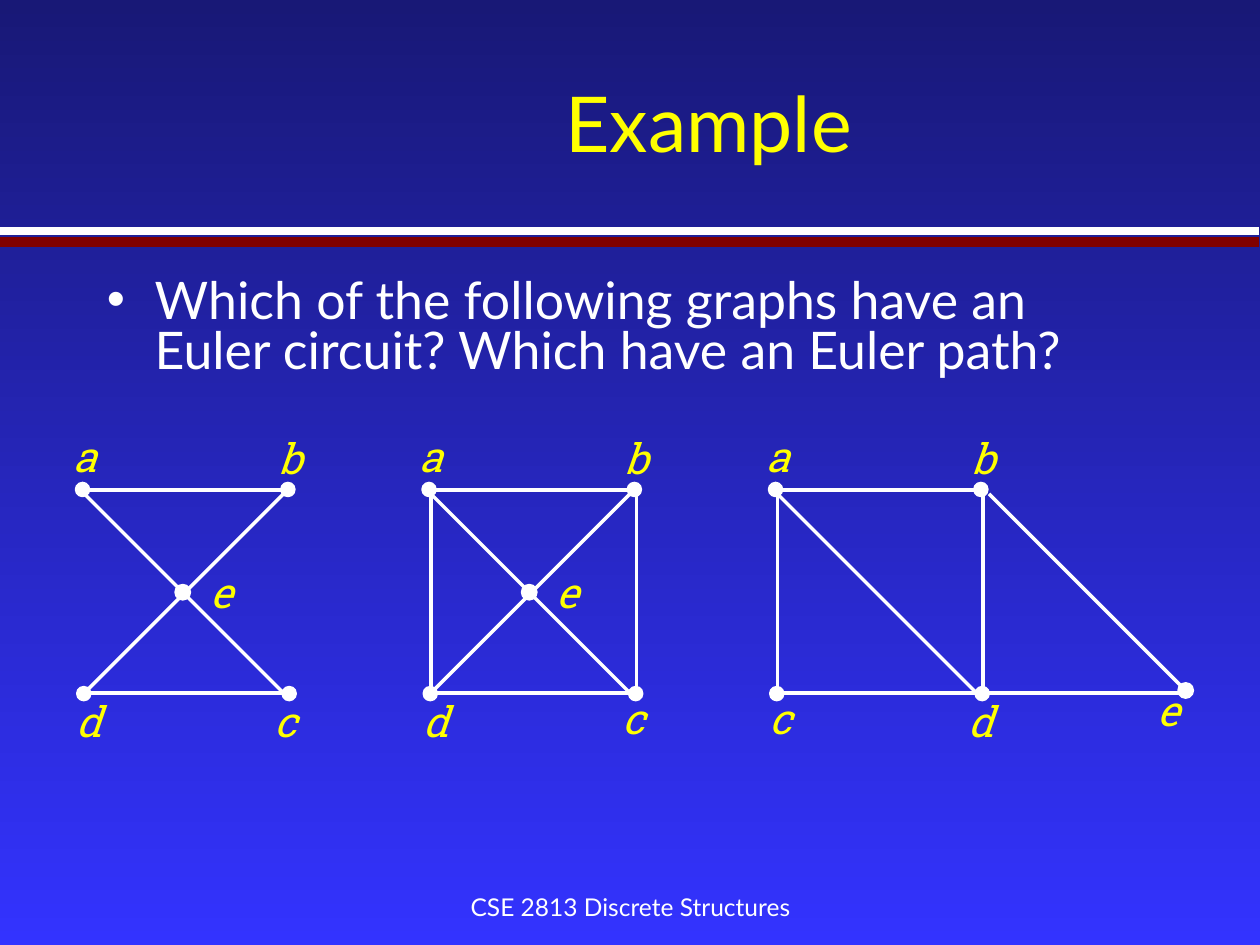
from lxml import etree
from pptx import Presentation
from pptx.dml.color import RGBColor
from pptx.enum.shapes import MSO_CONNECTOR, MSO_SHAPE
from pptx.enum.text import MSO_ANCHOR, MSO_AUTO_SIZE, PP_ALIGN
from pptx.oxml.ns import qn
from pptx.util import Inches, Pt

STRAIGHT = MSO_CONNECTOR.STRAIGHT
ELLIPSE = MSO_SHAPE.OVAL
TOP, MIDDLE = MSO_ANCHOR.TOP, MSO_ANCHOR.MIDDLE
LEFT, CENTER = PP_ALIGN.LEFT, PP_ALIGN.CENTER
FIT_SHAPE = MSO_AUTO_SIZE.SHAPE_TO_FIT_TEXT

WHITE = RGBColor(0xFF, 0xFF, 0xFF)
YELLOW = RGBColor(0xFF, 0xFF, 0x00)
MAROON = RGBColor(0x80, 0x00, 0x00)
NAVY = RGBColor(0x18, 0x18, 0x76)
BLUE = RGBColor(0x33, 0x33, 0xFF)

TITLE = "Example"
QUESTION = "Which of the following graphs have an Euler circuit? Which have an Euler path?"
FOOTER = "CSE 2813 Discrete Structures"
RULES = [(1.83, WHITE, 4.5), (1.92, MAROON, 6)]  # y, colour, width

# All graph parts are offsets from the corner of the graph's top left vertex.
GRAPH_LEFT, GRAPH_TOP, GRAPH_PITCH = 0.6, 3.83, 2.75
LABEL_SIZE = (0.32, 0.4)

# Vertex positions: left, top, diameter
VERTICES = {
    "top left": (0, 0, 0.11),
    "top right": (1.63, 0, 0.11),
    "bottom left": (0.01, 1.62, 0.11),
    "bottom right": (1.64, 1.62, 0.11),
    "middle": (0.79, 0.81, 0.12),
    "far right": (3.25, 1.59, 0.12),
}
# Edge ends: x1, y1, x2, y2
EDGES = {
    "top": (0.11, 0.06, 1.72, 0.06),
    "bottom": (0.08, 1.67, 1.69, 1.67),
    "left": (0.07, 0.07, 0.07, 1.68),
    "right": (1.7, 0.07, 1.7, 1.68),
    "falling": (0.07, 0.09, 1.65, 1.67),
    "rising": (1.65, 0.09, 0.07, 1.67),
    "outer falling": (1.75, 0.09, 3.33, 1.67),
    "outer bottom": (1.72, 1.67, 3.33, 1.67),
}
CORNERS = ["top left", "top right", "bottom left", "bottom right"]
TOP_LABELS = {"a": (-0.02, -0.41), "b": (1.61, -0.4)}
GRAPHS = [
    {
        "vertices": CORNERS + ["middle"],
        "edges": ["top", "bottom", "falling", "rising"],
        "labels": {"c": (1.58, 1.69), "d": (0.01, 1.69), "e": (1.07, 0.67)},
    },
    {
        "vertices": CORNERS + ["middle"],
        "edges": ["top", "bottom", "left", "right", "falling", "rising"],
        "labels": {"c": (1.59, 1.67), "d": (0.01, 1.69), "e": (1.07, 0.67)},
    },
    {
        "vertices": CORNERS + ["far right"],
        "edges": ["top", "bottom", "left", "right", "falling",
                  "outer falling", "outer bottom"],
        "labels": {"c": (0.01, 1.67), "d": (1.59, 1.69), "e": (3.09, 1.6)},
    },
]


def add_text(shapes, text, left, top, width, height, *, size, font="Lato",
             color=WHITE, italic=False, align=LEFT, anchor=TOP, wrap=True,
             inset=True, fit=False, bullet=False, line_spacing=None):
    box = shapes.add_textbox(Inches(left), Inches(top), Inches(width), Inches(height))
    frame = box.text_frame
    frame.word_wrap = wrap
    frame.vertical_anchor = anchor
    if fit:
        frame.auto_size = FIT_SHAPE
    if not inset:
        frame.margin_left = frame.margin_right = 0
        frame.margin_top = frame.margin_bottom = 0
    paragraph = frame.paragraphs[0]
    if bullet:
        add_bullet(paragraph, color)
    paragraph.alignment = align
    if line_spacing:
        paragraph.line_spacing = line_spacing
    run = paragraph.add_run()
    run.text = text
    run.font.name = font
    run.font.size = Pt(size)
    run.font.italic = italic
    run.font.color.rgb = color


def add_bullet(paragraph, color):
    properties = paragraph._p.get_or_add_pPr()
    properties.set("marL", str(Inches(0.38)))
    properties.set("indent", str(-Inches(0.38)))
    bullet_color = etree.SubElement(properties, qn("a:buClr"))
    etree.SubElement(bullet_color, qn("a:srgbClr"), val=str(color))
    etree.SubElement(properties, qn("a:buFont"), typeface="Arial")
    etree.SubElement(properties, qn("a:buChar"), char="•")


def add_line(shapes, x1, y1, x2, y2, color=WHITE, width=2):
    line = shapes.add_connector(STRAIGHT, Inches(x1), Inches(y1), Inches(x2), Inches(y2))
    line.line.color.rgb = color
    line.line.width = Pt(width)
    etree.SubElement(line._element.spPr, qn("a:effectLst"))


def add_vertex(shapes, left, top, diameter):
    vertex = shapes.add_shape(ELLIPSE, Inches(left), Inches(top),
                              Inches(diameter), Inches(diameter))
    vertex.shadow.inherit = False
    vertex.fill.solid()
    vertex.fill.fore_color.rgb = WHITE
    vertex.line.color.rgb = WHITE
    vertex.line.width = Pt(1)


def add_graph(slide, graph, left, top):
    shapes = slide.shapes.add_group_shape().shapes
    for name in graph["edges"]:
        x1, y1, x2, y2 = EDGES[name]
        add_line(shapes, left + x1, top + y1, left + x2, top + y2)
    for name in graph["vertices"]:
        x, y, diameter = VERTICES[name]
        add_vertex(shapes, left + x, top + y, diameter)
    for letter, (x, y) in {**TOP_LABELS, **graph["labels"]}.items():
        add_text(shapes, letter, left + x, top + y, *LABEL_SIZE, size=24,
                 font="Roboto Slab", color=YELLOW, italic=True, inset=False, fit=True)


def set_background(slide):
    fill = slide.background.fill
    fill.gradient()
    fill.gradient_angle = 270
    for stop, color in zip(fill.gradient_stops, (NAVY, BLUE)):
        stop.color.rgb = color


def main():
    presentation = Presentation()
    presentation.slide_width, presentation.slide_height = Inches(10), Inches(7.5)
    slide = presentation.slides.add_slide(presentation.slide_layouts[6])
    set_background(slide)
    for y, color, width in RULES:
        add_line(slide.shapes, 0, y, 9.99, y, color, width)
    add_text(slide.shapes, FOOTER, 3.42, 6.95, 3.17, 0.5, size=14,
             align=CENTER, anchor=MIDDLE, wrap=False)
    add_text(slide.shapes, TITLE, 2, 0.35, 7.25, 1.23, size=44, color=YELLOW,
             align=CENTER, anchor=MIDDLE)
    add_text(slide.shapes, QUESTION, 0.75, 2.17, 8.5, 1.08, size=29.6,
             bullet=True, line_spacing=0.8)
    for index, graph in enumerate(GRAPHS):
        add_graph(slide, graph, GRAPH_LEFT + index * GRAPH_PITCH, GRAPH_TOP)
    presentation.save("out.pptx")


if __name__ == "__main__":
    main()
